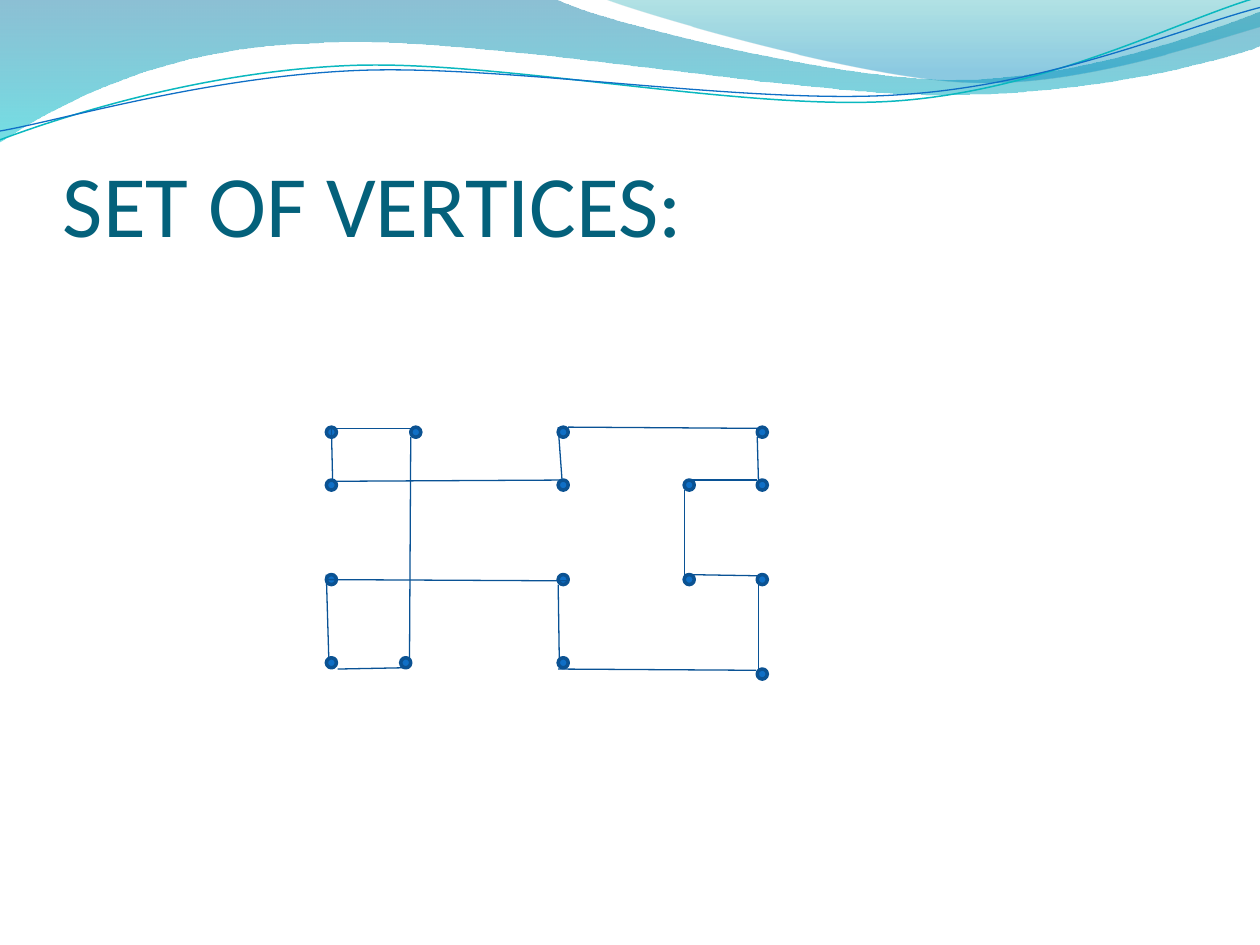
import math
import pptx
import pptx.util
import pptx.dml.color
import pptx.enum.shapes
import pptx.enum.text
import pptx.oxml
import pptx.oxml.ns
from lxml import etree


def inch(value):
    return pptx.util.Cm(value * 2.54)


def rgb(code):
    return pptx.dml.color.RGBColor.from_string(code)


def write(frame, text, font="Calibri", size=18, color="000000"):
    run = frame.paragraphs[0].add_run()
    run.text = text
    run.font.name = font
    run.font.size = pptx.util.Pt(size)
    run.font.color.rgb = rgb(color)


def turn(point, center, degrees):
    angle = math.radians(degrees)
    dx, dy = point[0] - center[0], point[1] - center[1]
    return (center[0] + dx * math.cos(angle) - dy * math.sin(angle),
            center[1] + dx * math.sin(angle) + dy * math.cos(angle))


class Board:
    dot_fill, dot_line, edge_line = "0F6FC6", "0B5292", "095295"
    dot_size = 0.08
    wave_tilt = -2.7

    def __init__(self, slide):
        self.shapes = slide.shapes

    def outline(self, steps, close, center=(0, 0), tilt=0):
        """Each step is a flat tuple: one point for a line, three for a curve."""
        points = [turn(pair, center, -tilt)
                  for step in steps for pair in zip(step[::2], step[1::2])]
        (x, y), *rest = [(inch(px), inch(py)) for px, py in points]
        builder = self.shapes.build_freeform(x, y, scale=1.0)
        builder.add_line_segments(rest, close=close)
        shape = builder.convert_to_shape()
        shape.shadow.inherit = False
        shape.rotation = tilt
        # Join the three points of each curve into one cubic segment
        segments = iter(list(shape.element.spPr.iter(pptx.oxml.ns.qn("a:lnTo"))))
        for step in steps[1:]:
            group = [next(segments) for _ in step[::2]]
            if len(group) == 3:
                curve = etree.Element(pptx.oxml.ns.qn("a:cubicBezTo"))
                group[0].addprevious(curve)
                for segment in group:
                    curve.append(segment[0])
                    segment.getparent().remove(segment)
        return shape

    def band(self, steps, stops):
        shape = self.outline(steps, True)
        shape.line.fill.background()
        shape.fill.gradient()
        shape.fill.gradient_angle = 270
        for stop, (position, color, _) in zip(shape.fill.gradient_stops, stops):
            stop.position = position
            stop.color.rgb = rgb(color)
        # Opacity of each stop
        tags = shape.element.spPr.iter(pptx.oxml.ns.qn("a:srgbClr"))
        for tag, (_, _, opacity) in zip(tags, stops):
            etree.SubElement(tag, pptx.oxml.ns.qn("a:alpha"), val=str(opacity * 1000))

    def wave(self, steps, center, color, width):
        shape = self.outline(steps, False, center, self.wave_tilt)
        shape.fill.background()
        shape.line.color.rgb = rgb(color)
        shape.line.width = pptx.util.Pt(width)

    def title(self, text, left, top, width, height, **style):
        box = self.shapes.add_textbox(*map(inch, (left, top, width, height)))
        frame = box.text_frame
        frame.word_wrap = True
        frame.vertical_anchor = pptx.enum.text.MSO_ANCHOR.BOTTOM
        frame.margin_left = frame.margin_right = frame.margin_bottom = 0
        frame.margin_top = inch(0.05)
        write(frame, text, **style)

    def vertex(self, x, y):
        dot = self.shapes.add_shape(pptx.enum.shapes.MSO_SHAPE.OVAL, inch(x), inch(y),
                                    inch(self.dot_size), inch(self.dot_size))
        dot.shadow.inherit = False
        dot.fill.solid()
        dot.fill.fore_color.rgb = rgb(self.dot_fill)
        dot.line.color.rgb = rgb(self.dot_line)
        dot.line.width = pptx.util.Pt(2)

    def edge(self, *ends):
        line = self.shapes.add_connector(pptx.enum.shapes.MSO_CONNECTOR.STRAIGHT,
                                         *map(inch, ends))
        line.line.color.rgb = rgb(self.edge_line)
        line.line.width = pptx.util.Pt(0.75)
        etree.SubElement(line.element.spPr, pptx.oxml.ns.qn("a:effectLst"))


deck = pptx.Presentation()
deck.slide_width, deck.slide_height = inch(10), inch(7.5)
board = Board(deck.slides.add_slide(deck.slide_layouts[6]))

# Wavy header
board.band([(0, 0), (4.4, -0.01), (4.76, 0.17, 6.64, 0.63, 7.58, 0.63),
            (8.53, 0.63, 9.58, 0.26, 10, 0.09), (10.01, 0.36),
            (9.83, 0.44, 8.7, 0.76, 7.46, 0.75), (6.22, 0.75, 3.82, 0.28, 2.57, 0.34),
            (1.29, 0.36, 0.46, 0.83, -0.01, 1.13)],
           [(0, "0074A1", 45), (1, "00C6CF", 55)])
board.band([(4.79, -0.01), (5.09, 0.11, 6.82, 0.62, 7.69, 0.65),
            (8.56, 0.69, 9.61, 0.32, 10, 0.21), (10, 0)],
           [(0, "00A1A9", 30), (0.8, "008BBF", 45)])
board.wave([(0, 1.11), (0.48, 0.93, 1.58, 0.57, 2.77, 0.52),
            (3.95, 0.47, 5.93, 0.89, 7.13, 0.8), (8.33, 0.71, 9.38, 0.15, 9.98, -0.02)],
           (4.99, 0.57), "0AB8BF", 0.85)
board.wave([(0, 1.04), (0.47, 0.96, 1.64, 0.61, 2.83, 0.56),
            (4.03, 0.51, 5.97, 0.84, 7.17, 0.75), (8.36, 0.67, 9.41, 0.21, 10, 0.06)],
           (5, 0.59), "0F6FC6", 0.75)

# Title
board.title("SET OF VERTICES:", 0.5, 0.77, 9, 1.25, size=50, color="04617B")

# Vertices, row by row
vertex_rows = {
    3.39: (2.59, 3.26, 4.43, 6.01),
    3.81: (2.59, 4.43, 5.43, 6.01),
    4.56: (2.59, 4.43, 5.43, 6.01),
    5.22: (2.59, 3.18, 4.43),
    5.31: (6.01,),
}
for row, columns in vertex_rows.items():
    for column in columns:
        board.vertex(column, row)

# Edges: horizontal, then vertical
horizontal_edges = [
    (2.67, 3.4, 3.33, 3.4), (2.66, 3.82, 4.47, 3.81), (2.59, 4.6, 4.5, 4.61),
    (5.47, 3.81, 6.01, 3.81), (4.51, 3.39, 6.02, 3.4), (5.43, 4.56, 6.02, 4.57),
    (2.68, 5.31, 3.19, 5.3), (4.43, 5.31, 6, 5.32),
]
vertical_edges = [
    (2.63, 3.39, 2.64, 3.81), (4.43, 3.39, 4.46, 3.8), (5.43, 3.89, 5.43, 4.6),
    (4.43, 4.64, 4.44, 5.3), (2.59, 4.56, 2.61, 5.24), (6.01, 3.47, 6.02, 3.82),
    (6.02, 4.57, 6.02, 5.32), (3.26, 3.47, 3.25, 5.24),
]
for ends in horizontal_edges + vertical_edges:
    board.edge(*ends)

deck.save("out.pptx")
